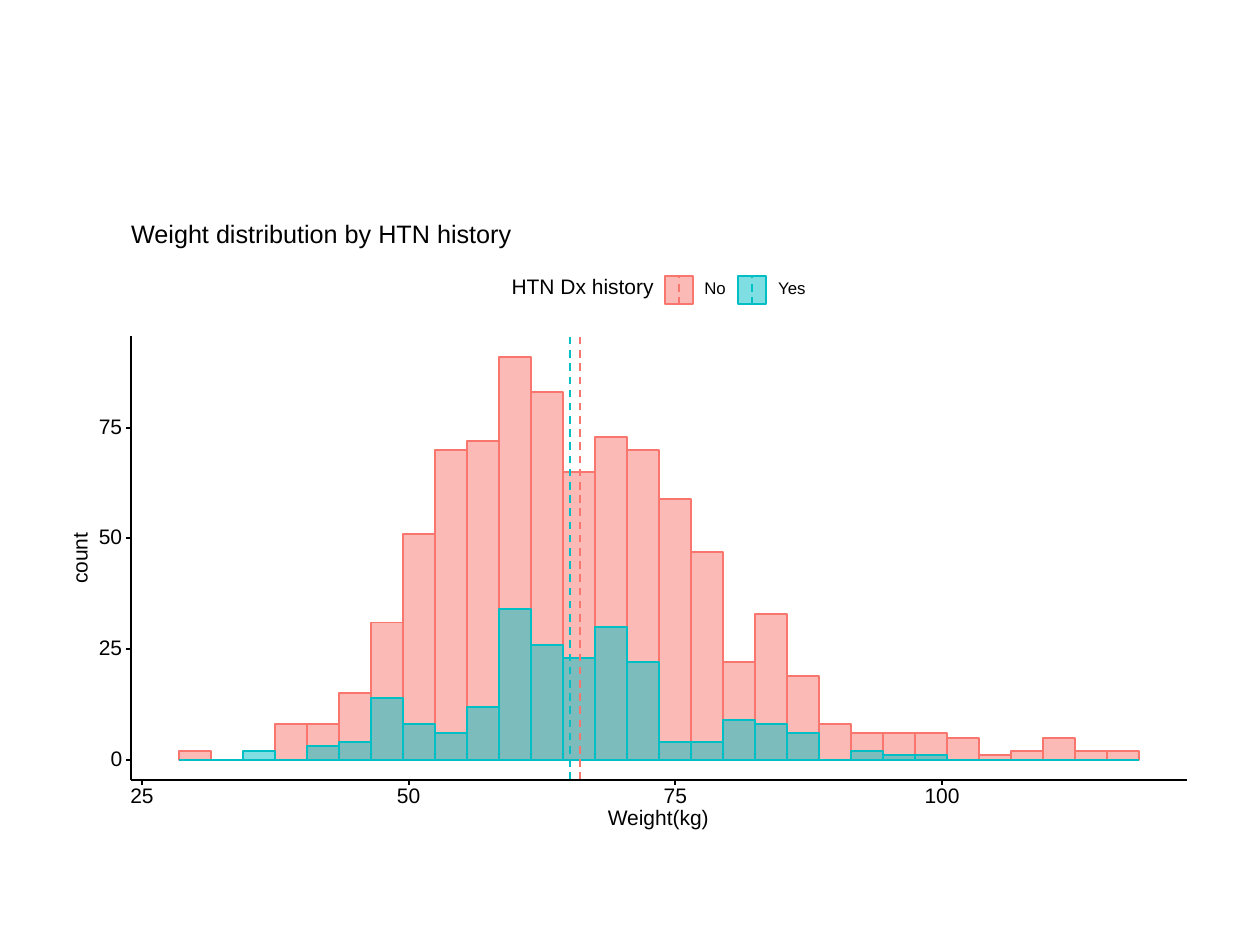
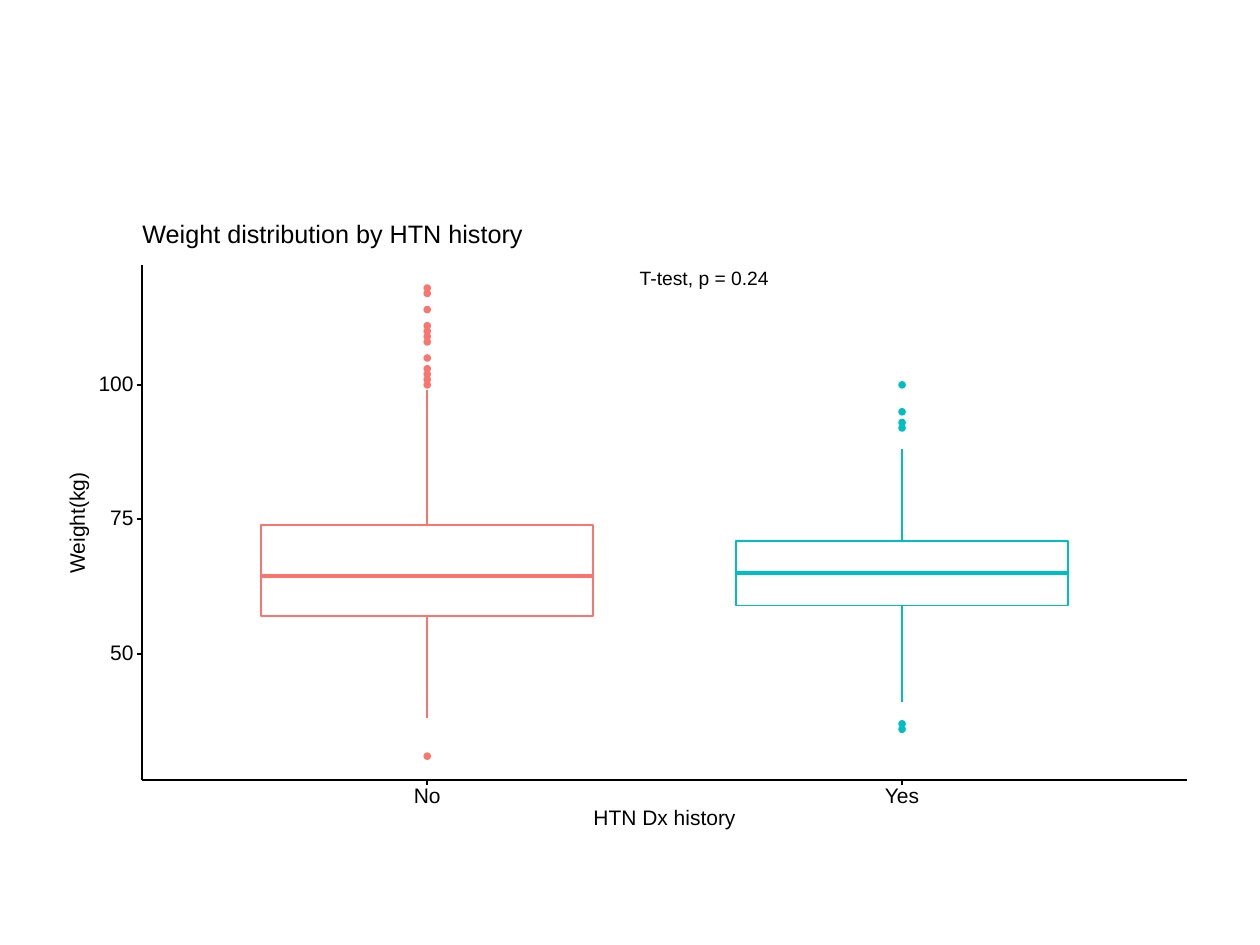
from dataclasses import dataclass

from lxml import etree
from pptx import Presentation
from pptx.dml.color import RGBColor
from pptx.enum.dml import MSO_LINE
from pptx.enum.shapes import MSO_CONNECTOR, MSO_SHAPE
from pptx.enum.text import MSO_ANCHOR, PP_ALIGN
from pptx.oxml.ns import qn
from pptx.util import Inches, Pt

# Shared look
NO_COLOR = RGBColor(0xF8, 0x76, 0x6D)
YES_COLOR = RGBColor(0x00, 0xBF, 0xC4)
BLACK = RGBColor(0, 0, 0)
WHITE = RGBColor(255, 255, 255)
FONT = "Arial"
TITLE = "Weight distribution by HTN history"
FACTOR = "HTN Dx history"
MEASURE = "Weight(kg)"
THIN, TICK, MEDIAN, DOT_LINE = 1.07, 1.16, 2.13, 0.71
RIGHT, BOTTOM = 9.42, 6.19
TICK_LENGTH = 0.04
DIGIT_WIDTH = 0.093


@dataclass(frozen=True)
class Scale:
    """Linear map from data values to inches on the slide."""
    origin: float
    per_unit: float

    def at(self, value: float) -> float:
        return self.origin + value * self.per_unit


@dataclass(frozen=True)
class Histogram:
    name: str
    color: RGBColor
    counts: tuple[int, ...]
    mean: float
    key_left: float
    name_width: float


@dataclass(frozen=True)
class BoxStats:
    name: str
    color: RGBColor
    low: float
    q1: float
    median: float
    q3: float
    high: float
    outliers: tuple[int, ...]
    name_width: float


# Data
HISTOGRAMS = (
    Histogram("No", NO_COLOR,
              (2, 0, 0, 8, 8, 15, 31, 51, 70, 72, 91, 83, 65, 73, 70,
               59, 47, 22, 33, 19, 8, 6, 6, 6, 5, 1, 2, 5, 2, 2),
              66.1, 5.28, 0.17),
    Histogram("Yes", YES_COLOR,
              (0, 0, 2, 0, 3, 4, 14, 8, 6, 12, 34, 26, 23, 30, 22,
               4, 4, 9, 8, 6, 0, 2, 1, 1, 0, 0, 0, 0, 0, 0),
              65.1, 5.86, 0.23),
)
FIRST_BIN, BIN_WIDTH = 28.5, 3
BOXES = (
    BoxStats("No", NO_COLOR, 38, 57, 64.5, 74, 99,
             (31, 100, 101, 102, 103, 105, 108, 109, 110, 111, 114, 117, 118),
             0.23),
    BoxStats("Yes", YES_COLOR, 41, 59, 65, 71, 88,
             (36, 37, 92, 93, 95, 100), 0.3),
)


# Drawing helpers
def add_line(slide, x1: float, y1: float, x2: float, y2: float,
             color: RGBColor = BLACK, weight: float = THIN,
             dashed: bool = False) -> None:
    line = slide.shapes.add_connector(
        MSO_CONNECTOR.STRAIGHT, Inches(x1), Inches(y1), Inches(x2), Inches(y2))
    line.line.color.rgb = color
    line.line.width = Pt(weight)
    if dashed:
        line.line.dash_style = MSO_LINE.DASH
    etree.SubElement(line._element.spPr, qn("a:effectLst"))


def add_figure(slide, kind: MSO_SHAPE, left: float, top: float, width: float,
               height: float, fill: RGBColor, line: RGBColor,
               weight: float = THIN, opacity: int = 100) -> None:
    shape = slide.shapes.add_shape(
        kind, Inches(left), Inches(top), Inches(width), Inches(height))
    shape.shadow.inherit = False
    shape.fill.solid()
    shape.fill.fore_color.rgb = fill
    shape.line.color.rgb = line
    shape.line.width = Pt(weight)
    if opacity < 100:
        color = shape._element.spPr.find(qn("a:solidFill"))[0]
        etree.SubElement(color, qn("a:alpha"), val=str(opacity * 1000))


def add_label(slide, text: str, left: float, top: float, width: float,
              height: float = 0.12, size: float = 12,
              rotation: float = 0) -> None:
    box = slide.shapes.add_textbox(
        Inches(left), Inches(top), Inches(width), Inches(height))
    box.rotation = rotation
    frame = box.text_frame
    frame.word_wrap = False
    frame.vertical_anchor = MSO_ANCHOR.MIDDLE
    frame.margin_left = frame.margin_right = 0
    frame.margin_top = frame.margin_bottom = 0
    paragraph = frame.paragraphs[0]
    paragraph.alignment = PP_ALIGN.CENTER
    paragraph.line_spacing = Pt(size)
    run = paragraph.add_run()
    run.text = text
    run.font.name = FONT
    run.font.size = Pt(size)
    run.font.color.rgb = BLACK


def add_title(slide, left: float) -> None:
    add_label(slide, TITLE, left, 1.78, 3.02, 0.19, size=14.4)


def add_y_axis(slide, left: float, top: float, scale: Scale,
               values: tuple[int, ...]) -> None:
    add_line(slide, left, BOTTOM, left, top)
    for value in values:
        y = scale.at(value)
        width = DIGIT_WIDTH * len(str(value))
        add_label(slide, str(value), left - 0.07 - width, y - 0.06, width)
        add_line(slide, left - TICK_LENGTH, y, left, y, weight=TICK)


def add_x_axis(slide, left: float,
               ticks: list[tuple[str, float, float]]) -> None:
    """Each tick is its text, its centre and its text width."""
    add_line(slide, left, BOTTOM, RIGHT, BOTTOM)
    for text, x, width in ticks:
        add_line(slide, x, BOTTOM + TICK_LENGTH, x, BOTTOM, weight=TICK)
        add_label(slide, text, x - width / 2, 6.27, width)


def add_legend(slide) -> None:
    add_label(slide, FACTOR, 4.06, 2.21, 1.13, 0.15)
    for series in HISTOGRAMS:
        left = series.key_left
        add_figure(slide, MSO_SHAPE.RECTANGLE, left, 2.19, 0.22, 0.22,
                   series.color, series.color, opacity=50)
        add_line(slide, left + 0.11, 2.42, left + 0.11, 2.18,
                 series.color, dashed=True)
        add_label(slide, series.name, left + 0.31, 2.25,
                  series.name_width, 0.1, size=9.6)


# Slide 1: overlaid histograms
def draw_histogram(slide) -> None:
    left, top = 1.04, 2.67
    weight = Scale(-0.99, 6.35 / 75)
    count = Scale(6.03, -2.635 / 75)
    base = count.at(0)
    for series in HISTOGRAMS:
        for i, n in enumerate(series.counts):
            if n:
                x = weight.at(FIRST_BIN + i * BIN_WIDTH)
                add_figure(slide, MSO_SHAPE.RECTANGLE, x, count.at(n),
                           BIN_WIDTH * weight.per_unit, base - count.at(n),
                           series.color, series.color, opacity=50)
    # The front series closes its empty bins with a baseline
    front = HISTOGRAMS[-1]
    last_edge = FIRST_BIN + len(front.counts) * BIN_WIDTH
    add_line(slide, weight.at(FIRST_BIN), base, weight.at(last_edge), base,
             front.color)
    for series in HISTOGRAMS:
        x = weight.at(series.mean)
        add_line(slide, x, BOTTOM, x, top, series.color, dashed=True)
    add_y_axis(slide, left, top, count, (0, 25, 50, 75))
    add_x_axis(slide, left, [(str(kg), weight.at(kg), DIGIT_WIDTH * len(str(kg)))
                             for kg in (25, 50, 75, 100)])
    add_label(slide, MEASURE, 4.82, 6.42, 0.81, 0.16)
    add_label(slide, "count", 0.44, 4.37, 0.41, rotation=270)
    add_legend(slide)
    add_title(slide, left)


# Slide 2: box plots
def draw_box(slide, stats: BoxStats, x: float, width: float,
             weight: Scale) -> None:
    dot = 0.05
    for value in stats.outliers:
        add_figure(slide, MSO_SHAPE.OVAL, x - dot / 2, weight.at(value) - dot / 2,
                   dot, dot, stats.color, stats.color, DOT_LINE)
    for start, end in ((stats.q3, stats.high), (stats.q1, stats.low)):
        add_line(slide, x, weight.at(start), x, weight.at(end), stats.color)
    left, top = x - width / 2, weight.at(stats.q3)
    add_figure(slide, MSO_SHAPE.RECTANGLE, left, top, width,
               weight.at(stats.q1) - top, WHITE, stats.color)
    y = weight.at(stats.median)
    add_line(slide, left, y, left + width, y, stats.color, MEDIAN)


def draw_box_plot(slide) -> None:
    left, top = 1.13, 2.1
    weight = Scale(7.325, -2.135 / 50)
    step = (RIGHT - left) / 2.2  # two categories with 0.6 padding at each end
    centers = [left + step * (0.6 + i) for i in range(len(BOXES))]
    for stats, x in zip(BOXES, centers):
        draw_box(slide, stats, x, 0.7 * step, weight)
    add_label(slide, "T-test, p = 0.24", 5.07, 2.15, 1.04, 0.14, size=11)
    add_y_axis(slide, left, top, weight, (50, 75, 100))
    add_x_axis(slide, left, [(stats.name, x, stats.name_width)
                             for stats, x in zip(BOXES, centers)])
    add_label(slide, FACTOR, 4.71, 6.43, 1.13, 0.15)
    add_label(slide, MEASURE, 0.22, 4.07, 0.81, 0.16, rotation=270)
    add_title(slide, left)


def main() -> None:
    deck = Presentation()
    deck.slide_width, deck.slide_height = Inches(10), Inches(7.5)
    blank = deck.slide_layouts[6]
    for draw in (draw_histogram, draw_box_plot):
        draw(deck.slides.add_slide(blank))
    deck.save("out.pptx")


main()
